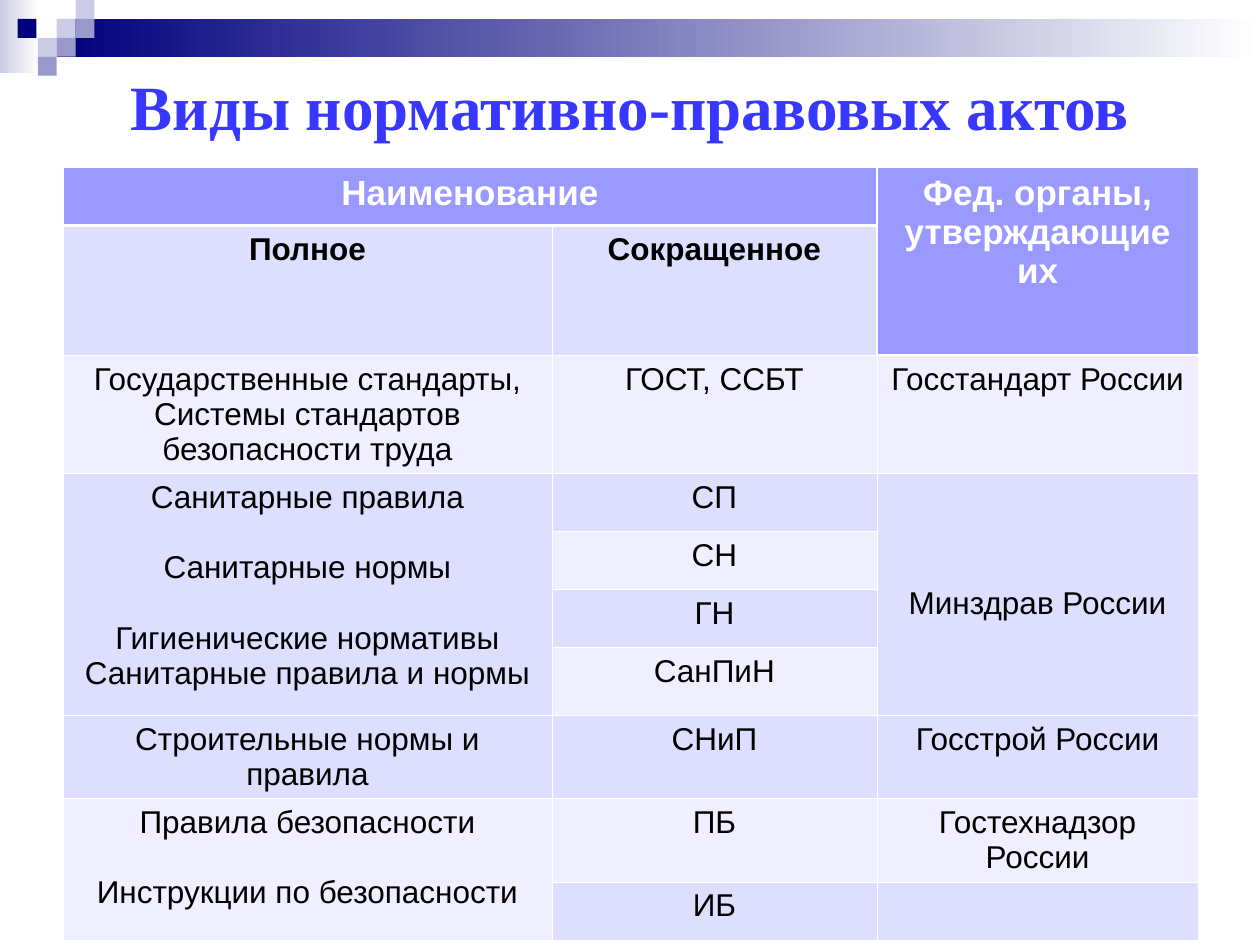
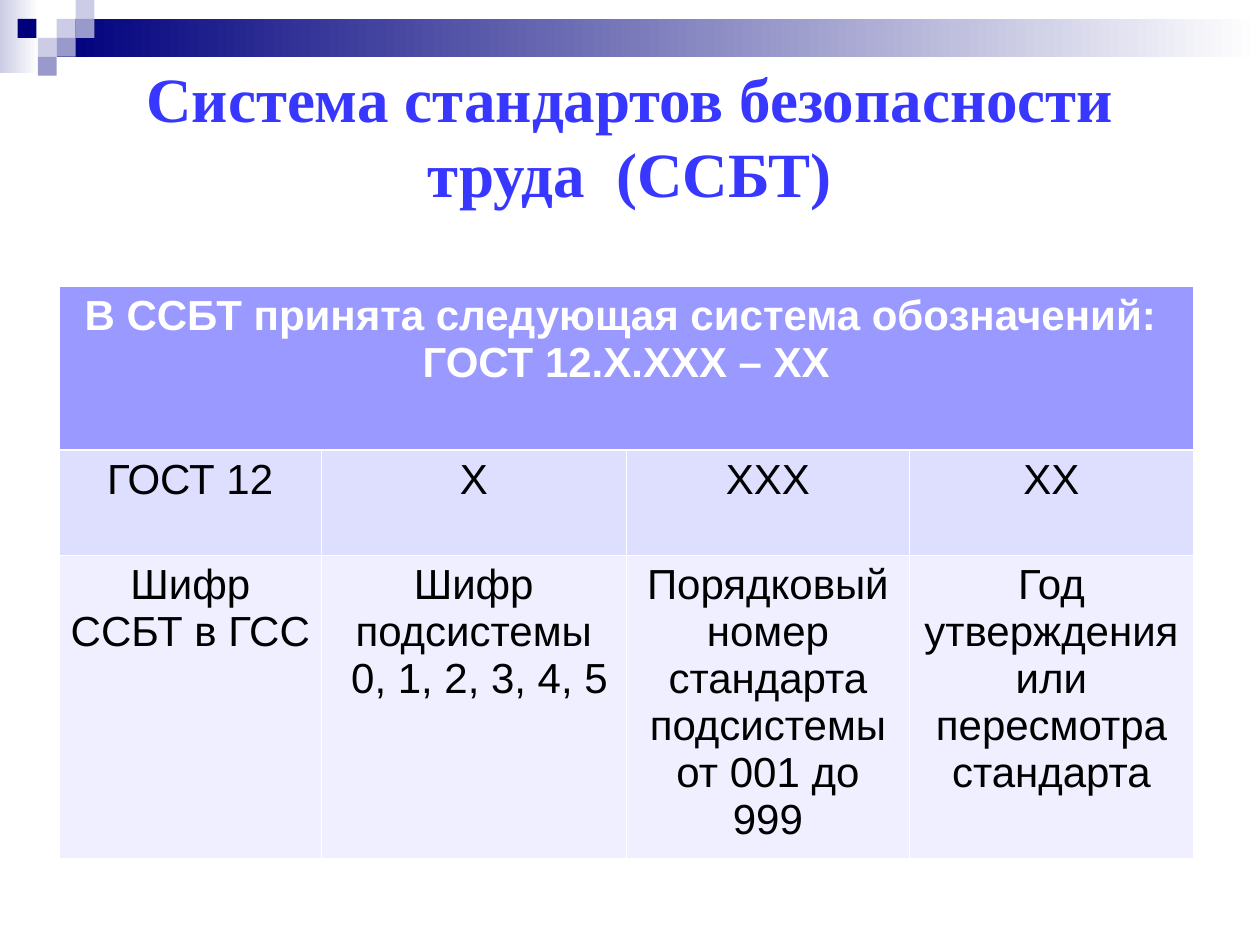
from dataclasses import dataclass

from lxml.etree import SubElement
from pptx import Presentation
from pptx.dml.color import RGBColor
from pptx.enum.shapes import MSO_SHAPE
from pptx.enum.text import MSO_ANCHOR, MSO_AUTO_SIZE, PP_ALIGN
from pptx.oxml.ns import qn
from pptx.util import Inches, Pt


@dataclass(frozen=True)
class Theme:
    """Colours, fonts and type sizes of the deck."""
    navy: str = "00007D"
    mist: str = "CCCCE6"
    slate: str = "9999CC"
    white: str = "FFFFFF"
    black: str = "000000"
    blue: str = "3737FF"
    head: str = "9999FF"
    dark: str = "DEDEFF"
    light: str = "EFEFFF"
    serif: str = "Times New Roman"
    sans: str = "Arial"
    title: int = 36
    large: int = 24
    mid: int = 20
    small: int = 18
    thin: float = 0.45
    thick: float = 1.47


@dataclass(frozen=True)
class Item:
    """One table cell: its text, fill, span and special edges."""
    text: str
    fill: str
    size: int
    rows: int = 1
    cols: int = 1
    bold: bool = False
    thick: str = ""
    gaps: tuple = ()
    mid: bool = False


T = Theme()
UNIT = 0.15
TILES = [
    (3, 1, T.mist), (4, 0, T.mist), (4, 1, T.slate), (2, 2, T.mist),
    (0.93, 1, T.navy), (3, 2, T.slate), (2, 3, T.slate),
]


def rgb(code):
    """Turn a hex code into a colour."""
    return RGBColor.from_string(code)


def style(para, face, size, color, bold):
    """Centre a paragraph and set its font."""
    para.alignment = PP_ALIGN.CENTER
    font = para.font
    font.name, font.size, font.bold = face, Pt(size), bold
    font.color.rgb = rgb(color)


def block(slide, box, *colors):
    """Draw a plain rectangle, or a gradient one when given two colours."""
    shape = slide.shapes.add_shape(MSO_SHAPE.RECTANGLE, *map(Inches, box))
    shape.shadow.inherit = False
    shape.line.fill.background()
    if len(colors) == 1:
        shape.fill.solid()
        shape.fill.fore_color.rgb = rgb(colors[0])
        return
    shape.fill.gradient()
    shape.fill.gradient_angle = 0
    for stop, color in zip(shape.fill.gradient_stops, colors):
        stop.color.rgb = rgb(color)


def band(slide):
    """Draw the gradient band and its mosaic of squares."""
    block(slide, (0, 0, 0.31, 0.58), T.mist, T.white)
    block(slide, (0.45, UNIT, 9.55, 2 * UNIT), T.navy, T.white)
    for col, row, color in TILES:
        block(slide, (col * UNIT, row * UNIT, UNIT, UNIT), color)


def start(deck, text, high):
    """Add a slide with the shared band and a title of the given height."""
    slide = deck.slides.add_slide(deck.slide_layouts[5])
    band(slide)
    title = slide.shapes.title
    title.left, title.top, title.width, title.height = map(Inches, (0.5, 0.5, 9, high))
    frame = title.text_frame
    frame.text = text
    frame.word_wrap = True
    frame.auto_size = MSO_AUTO_SIZE.NONE
    frame.vertical_anchor = MSO_ANCHOR.MIDDLE
    style(frame.paragraphs[0], T.serif, T.title, T.blue, True)
    return slide


def edge(cell, thick):
    """Give a cell white borders, wider on the sides named in thick."""
    props = cell._tc.get_or_add_tcPr()
    for spot, side in enumerate("LRTB"):
        width = T.thick if side in thick else T.thin
        line = props.makeelement(qn(f"a:ln{side}"), {"w": str(Pt(width))})
        paint = SubElement(line, qn("a:solidFill"))
        SubElement(paint, qn("a:srgbClr"), val=T.white)
        props.insert(spot, line)


def fill(cell, item):
    """Write and format one table cell."""
    cell.fill.solid()
    cell.fill.fore_color.rgb = rgb(item.fill)
    cell.margin_left = cell.margin_right = Inches(0.08)
    if item.mid:
        cell.vertical_anchor = MSO_ANCHOR.MIDDLE
        cell.margin_top = Inches(0.19)
    cell.text_frame.text = item.text
    color = T.white if item.fill == T.head else T.black
    for spot, para in enumerate(cell.text_frame.paragraphs):
        style(para, T.sans, item.size, color, item.bold)
        if spot in item.gaps:
            para.space_before = Pt(20)
    edge(cell, item.thick)


def grid(slide, left, top, cols, rows, items):
    """Build a table from column widths, row heights and placed items."""
    box = map(Inches, (left, top, sum(cols), sum(rows)))
    table = slide.shapes.add_table(len(rows), len(cols), *box).table
    table.first_row = table.horz_banding = False
    for col, width in zip(table.columns, cols):
        col.width = Inches(width)
    for row, height in zip(table.rows, rows):
        row.height = Inches(height)
    for (row, col), item in items.items():
        cell = table.cell(row, col)
        if item.rows * item.cols > 1:
            cell.merge(table.cell(row + item.rows - 1, col + item.cols - 1))
        fill(cell, item)


def acts(deck):
    """Build the slide on kinds of regulations."""
    slide = start(deck, "Виды нормативно-правовых актов", 0.67)
    items = {
        (0, 0): Item("Наименование", T.head, T.mid, cols=2, bold=True, thick="RB"),
        (0, 2): Item("Фед. органы, утверждающие их", T.head, T.mid, rows=2, bold=True, thick="LB"),
        (1, 0): Item("Полное", T.dark, T.small, bold=True, thick="T"),
        (1, 1): Item("Сокращенное", T.dark, T.small, bold=True, thick="TR"),
        (2, 0): Item("Государственные стандарты, Системы стандартов безопасности труда", T.light, T.small),
        (2, 2): Item("Госстандарт России", T.light, T.small, thick="T"),
        (3, 0): Item("Санитарные правила\nСанитарные нормы\nГигиенические нормативы\nСанитарные правила и нормы",
                     T.dark, T.small, rows=4, gaps=(1, 2)),
        (3, 2): Item("Минздрав России", T.dark, T.small, rows=4, mid=True),
        (7, 0): Item("Строительные нормы и правила", T.dark, T.small),
        (7, 2): Item("Госстрой России", T.dark, T.small),
        (8, 0): Item("Правила безопасности\nИнструкции по безопасности", T.light, T.small, rows=2, gaps=(1,)),
        (8, 2): Item("Гостехнадзор\nРоссии", T.light, T.small),
        (9, 2): Item("", T.dark, T.small),
    }
    short = ["ГОСТ, ССБТ", "СП", "СН", "ГН", "СанПиН", "СНиП", "ПБ", "ИБ"]
    for row, text in enumerate(short, 2):
        items[row, 1] = Item(text, T.dark if row % 2 else T.light, T.small)
    rows = [0.46, 1.03, 0.94, 0.46, 0.46, 0.46, 0.54, 0.56, 0.56, 0.46]
    grid(slide, 0.5, 1.33, [3.88, 2.58, 2.55], rows, items)


def codes(deck):
    """Build the slide on the numbering of standards."""
    slide = start(deck, "Система стандартов безопасности труда  (ССБТ)", 1.14)
    items = {(0, 0): Item("В ССБТ принята следующая система обозначений: \nГОСТ 12.Х.ХХХ – ХХ",
                          T.head, T.large, cols=4, bold=True, thick="B")}
    parts = [
        ("ГОСТ 12", "Шифр ССБТ в ГСС"),
        ("Х", "Шифр подсистемы\n 0, 1, 2, 3, 4, 5"),
        ("ХХХ", "Порядковый номер стандарта подсистемы от 001 до 999"),
        ("ХХ", "Год утверждения или пересмотра стандарта"),
    ]
    for col, (code, text) in enumerate(parts):
        items[1, col] = Item(code, T.dark, T.large, thick="T")
        items[2, col] = Item(text, T.light, T.large)
    grid(slide, 0.47, 2.27, [2.08, 2.42, 2.25, 2.25], [1.3, 0.84, 2.4], items)


def main():
    """Build and save the deck."""
    deck = Presentation()
    deck.slide_width, deck.slide_height = Inches(10), Inches(7.5)
    acts(deck)
    codes(deck)
    deck.save("out.pptx")


if __name__ == "__main__":
    main()
